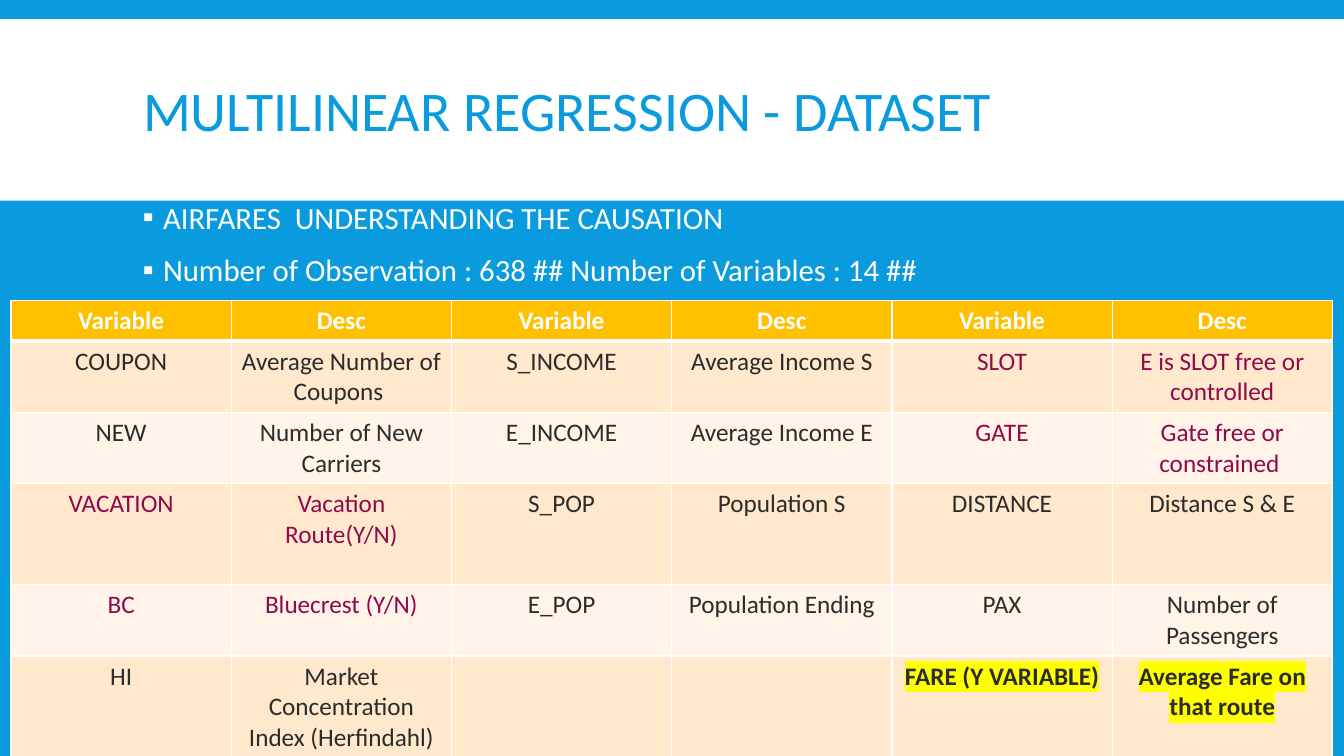
from lxml import etree
from pptx import Presentation
from pptx.dml.color import RGBColor
from pptx.enum.shapes import MSO_SHAPE
from pptx.enum.text import MSO_ANCHOR, MSO_AUTO_SIZE, PP_ALIGN
from pptx.oxml.ns import qn
from pptx.util import Pt

RECT = MSO_SHAPE.RECTANGLE
MIDDLE = MSO_ANCHOR.MIDDLE
FIXED = MSO_AUTO_SIZE.NONE
LEFT, CENTER = PP_ALIGN.LEFT, PP_ALIGN.CENTER

BLUE = RGBColor(0x09, 0x9B, 0xDD)
WHITE = RGBColor(0xFF, 0xFF, 0xFF)
GOLD = RGBColor(0xFF, 0xC0, 0x00)
PEACH = RGBColor(0xFF, 0xE8, 0xCC)
CREAM = RGBColor(0xFF, 0xF4, 0xE7)
DARK = RGBColor(0x2C, 0x2C, 0x2C)
PLUM = RGBColor(0x8F, 0x0A, 0x4D)
YELLOW = RGBColor(0xFF, 0xFF, 0x00)

HEADS = ["Variable", "Desc"] * 3
ROWS = [
    ["COUPON", "Average Number of Coupons ", "S_INCOME", "Average Income S",
     "SLOT", "E is SLOT free or controlled"],
    ["NEW", "Number of New Carriers", "E_INCOME", "Average Income E",
     "GATE", "Gate free or constrained "],
    ["VACATION", "Vacation Route(Y/N)", "S_POP", "Population S",
     "DISTANCE", "Distance S & E"],
    ["BC", "Bluecrest (Y/N)", "E_POP", "Population Ending",
     "PAX", "Number of Passengers"],
    ["HI", "Market Concentration Index (Herfindahl)", "", "",
     "FARE (Y VARIABLE)", "Average Fare on that route"],
]
FLAGS = {"SLOT", "GATE", "VACATION", "BC"}
TARGET = "FARE (Y VARIABLE)"
HEIGHTS = [29, 51, 51, 72, 51, 72]


def add_tag(parent, tag, **attrs):
    """Append an XML child and return it."""
    return etree.SubElement(parent, qn(tag), attrs)


class Deck:
    """Holds the style and the current slide."""

    def __init__(self, wide, high, font):
        """Start a title-only slide on a blue background."""
        self.font = font
        self.show = Presentation()
        self.show.slide_width, self.show.slide_height = Pt(wide), Pt(high)
        self.slide = self.show.slides.add_slide(self.show.slide_layouts[5])
        fill = self.slide.background.fill
        fill.solid()
        fill.fore_color.rgb = BLUE

    def run(self, para, text, size, color, bold=False, mark=None):
        """Add one styled run, with an optional highlight."""
        run = para.add_run()
        run.text = text
        run.font.size = Pt(size)
        run.font.bold = bold
        run.font.color.rgb = color
        if mark:
            tint = add_tag(run.font._element, "a:highlight")
            add_tag(tint, "a:srgbClr", val=str(mark))
        run.font.name = self.font

    def title(self, text, box):
        """Place and fill the title."""
        title = self.slide.shapes.title
        title.left, title.top, title.width, title.height = map(Pt, box)
        frame = title.text_frame
        frame.word_wrap = True
        frame.auto_size = FIXED
        frame.vertical_anchor = MIDDLE
        para = frame.paragraphs[0]
        para.alignment = LEFT
        para.line_spacing = 0.85
        self.run(para, text, 40, BLUE)

    def band(self, box, color):
        """Add a plain band behind the title."""
        band = self.slide.shapes.add_shape(RECT, *map(Pt, box))
        band.shadow.inherit = False
        band.fill.solid()
        band.fill.fore_color.rgb = color
        band.line.fill.background()
        self.slide.shapes.title.element.addprevious(band.element)

    def bullets(self, lines, box):
        """Add a bulleted text box."""
        frame = self.slide.shapes.add_textbox(*map(Pt, box)).text_frame
        frame.word_wrap = True
        for num, line in enumerate(lines):
            para = frame.add_paragraph() if num else frame.paragraphs[0]
            para.line_spacing = 0.9
            para.space_before, para.space_after = Pt(12), Pt(2)
            props = para._p.get_or_add_pPr()
            props.set("marL", str(Pt(14.4)))
            props.set("indent", str(Pt(-14.4)))
            tint = add_tag(props, "a:buClr")
            add_tag(tint, "a:srgbClr", val=str(WHITE))
            add_tag(props, "a:buFont", typeface=self.font)
            add_tag(props, "a:buChar", char="▪")
            self.run(para, line, 22, WHITE)

    def cell(self, cell, text, fill, edges, **style):
        """Fill one cell; edges gives left, right, top, bottom widths."""
        props = cell._tc.get_or_add_tcPr()
        for side, width in zip("LRTB", edges):
            line = add_tag(props, "a:ln" + side, w=str(Pt(width)))
            tint = add_tag(line, "a:solidFill")
            add_tag(tint, "a:srgbClr", val=str(WHITE))
        cell.fill.solid()
        cell.fill.fore_color.rgb = fill
        para = cell.text_frame.paragraphs[0]
        para.alignment = CENTER
        if text:
            self.run(para, text, 18, **style)

    def table(self, heads, rows, heights, box):
        """Add the table of variables with banded rows."""
        shape = self.slide.shapes.add_table(
            len(rows) + 1, len(heads), *map(Pt, box))
        table = shape.table
        for row, high in zip(table.rows, heights):
            row.height = Pt(high)
        for col, head in enumerate(heads):
            table.columns[col].width = Pt(box[2] / len(heads))
            self.cell(table.cell(0, col), head, GOLD, (1, 1, 1, 3),
                      color=WHITE, bold=True)
        for num, row in enumerate(rows, 1):
            fill = PEACH if num % 2 else CREAM
            edges = (1, 1, 3 if num == 1 else 1, 1)
            for col, text in enumerate(row):
                name = row[col - col % 2]
                goal = name == TARGET
                self.cell(table.cell(num, col), text, fill, edges,
                          color=PLUM if name in FLAGS else DARK,
                          bold=goal, mark=YELLOW if goal else None)


deck = Deck(960, 540, "Calibri")
deck.band((0, 13.7, 960, 129.6), WHITE)
deck.title("MULTILINEAR REGRESSION - DATASET", (95, 22.3, 770.4, 118.8))
deck.bullets(["AIRFARES  UNDERSTANDING THE CAUSATION",
              "Number of Observation : 638 ## Number of Variables : 14 ##"],
             (95, 141.1, 770.4, 331.2))
deck.table(HEADS, ROWS, HEIGHTS, (7.9, 214.6, 943.9, sum(HEIGHTS)))
deck.show.save("out.pptx")
